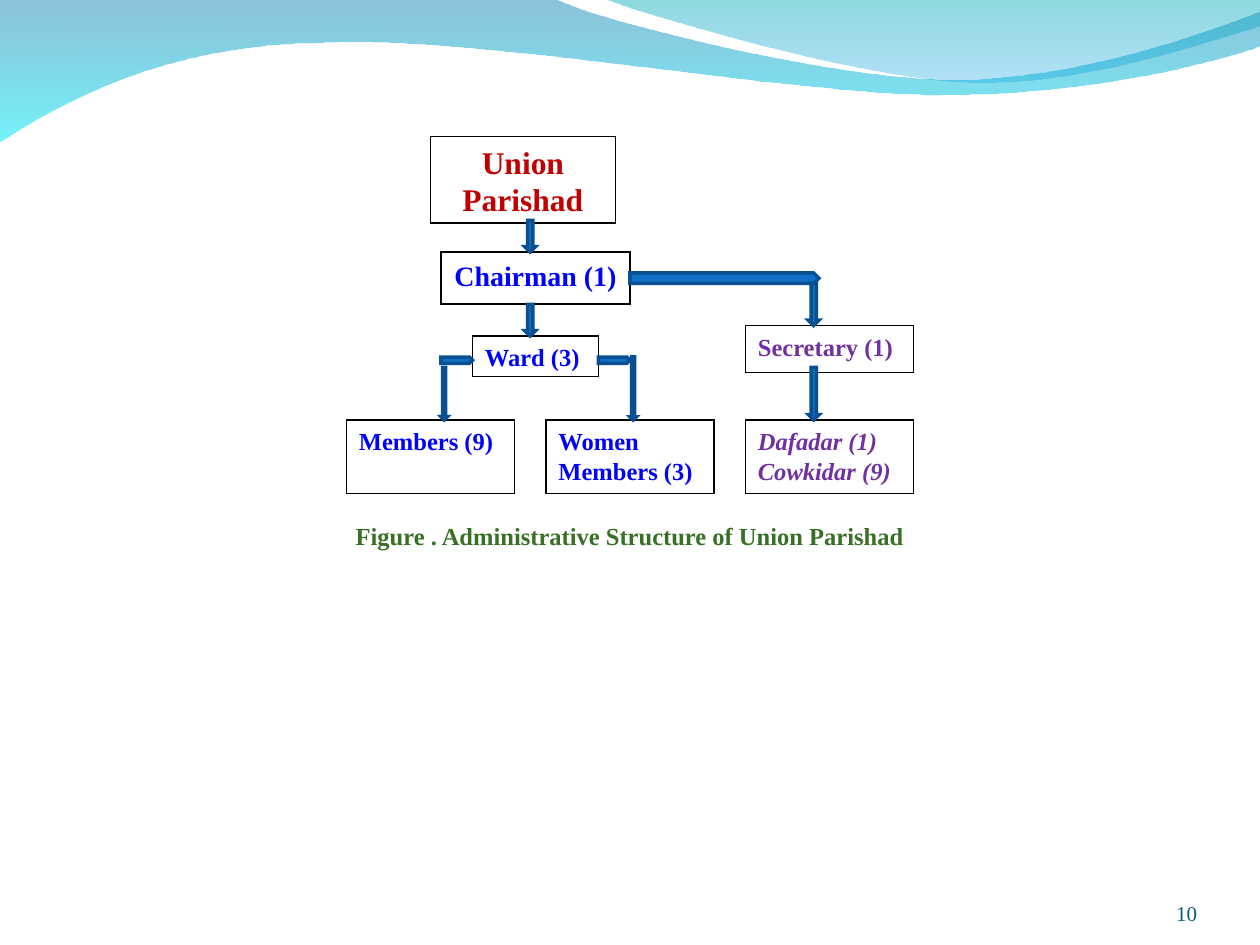
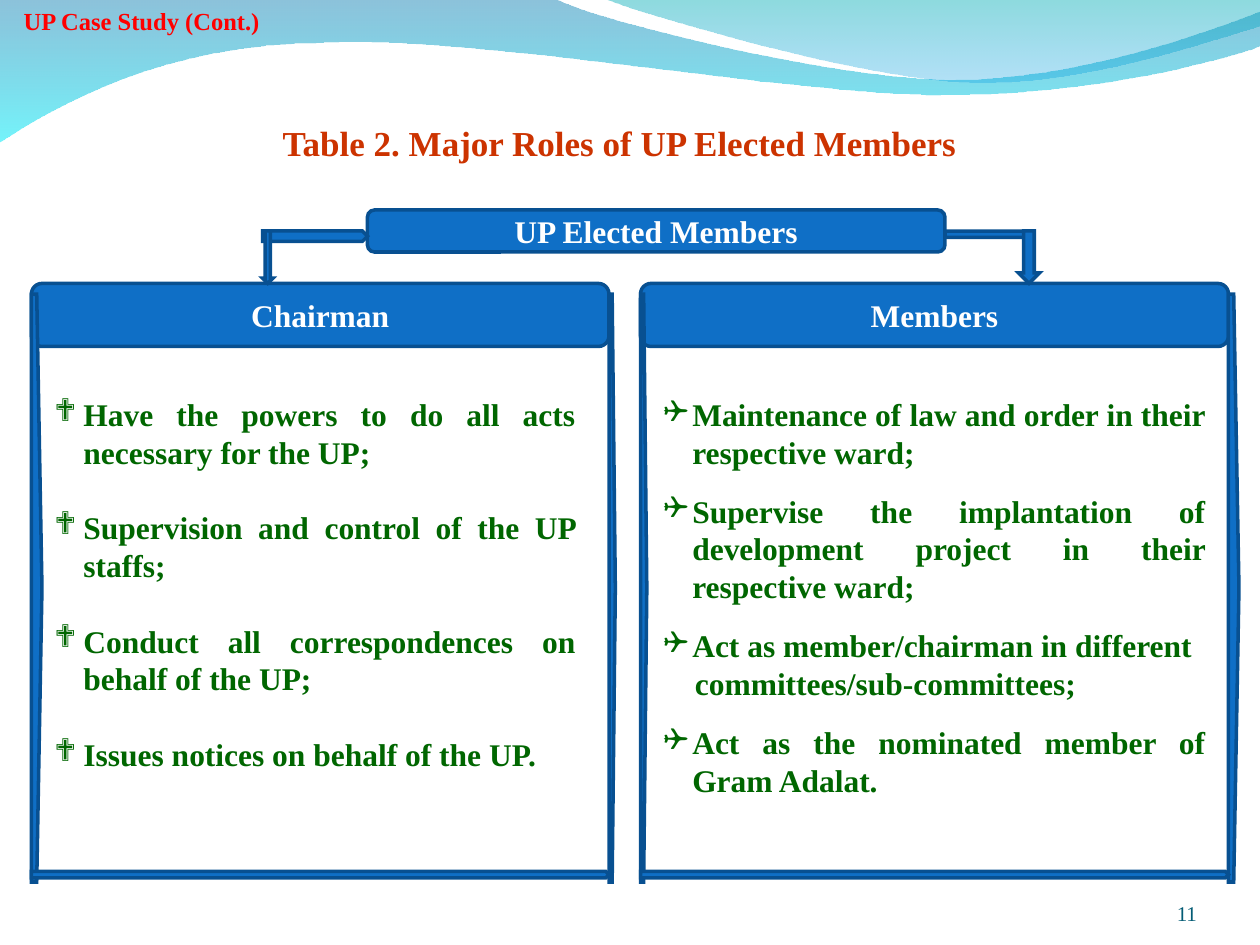
from lxml import etree
from pptx import Presentation
from pptx import util as u
from pptx.dml import color as dml
from pptx.enum import shapes, text
from pptx.oxml import ns

WIDE, HIGH = u.Inches(10), u.Inches(7.5)
CELL = WIDE / 120
TENTH = WIDE / 10
FONT = "Times New Roman"
HUES = {
    "white": "FFFFFF", "black": "000000", "fill": "0F6FC6", "edge": "085091",
    "red": "C00000", "blue": "0000FF", "plum": "7030A0", "leaf": "387026",
    "rust": "CC3300", "green": "006600", "tag": "FF0000", "page": "045C75",
    "sea": "0079AF", "aqua": "00EBF8", "teal": "00ADB6", "sky": "009BE5",
}
KIND = shapes.MSO_SHAPE
ALIGN = text.PP_ALIGN
ANCHOR = text.MSO_ANCHOR

WAVES = [
    ((0, -.01), [
        [(4.4, -.01)],
        [(4.76, .17), (6.64, .63), (7.58, .63)],
        [(8.53, .63), (9.58, .26), (10, .09)],
        [(10.01, .36)],
        [(9.83, .44), (8.7, .76), (7.46, .75)],
        [(6.22, .75), (3.82, .28), (2.57, .34)],
        [(1.29, .35), (.46, .83), (-.01, 1.13)],
    ], [("sea", 45), ("aqua", 55)]),
    ((4.79, -.01), [
        [(5.09, .11), (6.82, .62), (7.69, .65)],
        [(8.56, .69), (9.61, .32), (10, .21)],
        [(10, 0)],
    ], [("teal", 45), ("sky", 30)]),
]


def hue(name):
    """Return the named colour."""
    return dml.RGBColor.from_string(HUES[name])


def span(box, x, y, w, h):
    """Turn grid cells, counted from the corner of a box, into lengths."""
    return [round(n * CELL) for n in (box[0] + x, box[1] + y, w, h)]


def bullet(para, mark):
    """Hang a paragraph, with a bullet if there is a mark."""
    props = para._p.get_or_add_pPr()
    props.set("marL", str(u.Inches(.23 if mark else .25)))
    props.set("indent", str(-u.Inches(.23) if mark else 0))
    if mark:
        etree.SubElement(props, ns.qn("a:buFont")).set("typeface", "Wingdings")
        etree.SubElement(props, ns.qn("a:buChar")).set("char", mark)


def write(shape, lines, size=14, tint="blue", align=ALIGN.LEFT, bold=True,
          slant=False, anchor=ANCHOR.TOP, inset=True, mark=None, gap=0,
          plain=()):
    """Fill a shape with paragraphs in one format."""
    frame = shape.text_frame
    frame.word_wrap = True
    frame.vertical_anchor = anchor
    if not inset:
        frame.margin_left = frame.margin_right = 0
        frame.margin_top = frame.margin_bottom = 0
    for num, line in enumerate([lines] if isinstance(lines, str) else lines):
        para = frame.add_paragraph() if num else frame.paragraphs[0]
        para.alignment = align
        if num and num not in plain:
            para.space_before = u.Pt(gap)
        if mark:
            bullet(para, None if num in plain else mark)
        run = para.add_run()
        run.text = line
        font = run.font
        font.name, font.size = FONT, u.Pt(size)
        font.bold, font.italic = bold, slant
        font.color.rgb = hue(tint)


def label(slide, place, lines, **form):
    """Place free text."""
    write(slide.shapes.add_textbox(*place), lines, **form)


def block(slide, kind, place, fill="fill", edge="edge", width=2):
    """Place a filled shape with a sharp outline."""
    shape = slide.shapes.add_shape(kind, *place)
    shape.shadow.inherit = False
    shape.fill.solid()
    shape.fill.fore_color.rgb = hue(fill)
    shape.line.color.rgb = hue(edge)
    shape.line.width = u.Pt(width)
    join = etree.SubElement(shape.line._get_or_add_ln(), ns.qn("a:miter"))
    join.set("lim", "800000")
    return shape


def bend(wave, parts):
    """Merge each three straight steps that stand for a curve into one."""
    steps = iter(list(wave._element.iter(ns.qn("a:lnTo"))))
    for part in parts:
        group = [next(steps) for dot in part]
        if len(group) == 3:
            curve = etree.Element(ns.qn("a:cubicBezTo"))
            group[0].addprevious(curve)
            for step in group:
                curve.append(step[0])
                step.getparent().remove(step)


def waves(slide):
    """Draw the two clear waves along the top."""
    for start, parts, stops in WAVES:
        dots = [(x * TENTH, y * TENTH) for part in parts for x, y in part]
        pen = slide.shapes.build_freeform(*(n * TENTH for n in start))
        pen.add_line_segments(dots, close=True)
        wave = pen.convert_to_shape()
        bend(wave, parts)
        wave.shadow.inherit = False
        wave.line.fill.background()
        wave.fill.gradient()
        wave.fill.gradient_angle = 270
        for stop, (name, share) in zip(wave.fill.gradient_stops, stops):
            stop.color.rgb = hue(name)
        for node, (name, share) in zip(
                wave._element.spPr.iter(ns.qn("a:srgbClr")), stops):
            etree.SubElement(node, ns.qn("a:alpha")).set(
                "val", str(share * 1000))


def base(deck, page):
    """Add a slide with waves and a page number."""
    slide = deck.slides.add_slide(deck.slide_layouts[6])
    waves(slide)
    label(slide, span((104, 83.4), 0, 0, 10, 4.8), str(page), size=12,
          tint="page", bold=False, align=ALIGN.RIGHT, anchor=ANCHOR.BOTTOM,
          inset=False)
    return slide


def arrows(slide, box, downs, bars):
    """Place down arrows over pointed bars."""
    for kind, items in ((KIND.PENTAGON, bars), (KIND.DOWN_ARROW, downs)):
        for item in items:
            block(slide, kind, span(box, *item))


def tree(slide, box):
    """Draw the chart of posts and its arrows."""
    mid = {"align": ALIGN.CENTER}
    plum = {"tint": "plum"}
    posts = [
        ("Union Parishad", (8, 0, 17.6, 8.25), {"size": 18, "tint": "red", **mid}),
        ("Chairman (1)", (9, 11, 18, 4.95), {"size": 16, **mid}),
        ("Ward (3)", (12, 19, 12, 3.85), {}),
        ("Members (9)", (0, 27, 16, 7), {}),
        ("Women Members (3)", (19, 27, 16, 7), {}),
        ("Secretary (1)", (38, 18, 16, 4.45), plum),
        ("Dafadar (1) Cowkidar (9)", (38, 27, 16, 7), {"slant": True, **plum}),
    ]
    for name, place, form in posts:
        shape = block(slide, KIND.RECTANGLE, span(box, *place),
                      "white", "black", .75)
        write(shape, name, **form)
    arrows(slide, box,
           [(17, 8, 1, 3), (17, 16, 1, 3), (44, 14, 1, 4), (27, 21, .6, 6),
            (9, 22, .6, 5), (44, 22, 1, 5)],
           [(27, 13, 18, 1), (9, 21, 3, .6), (24, 21, 3, .6)])


def head(slide, box, w, h, name):
    """Draw a rounded heading."""
    shape = block(slide, KIND.ROUNDED_RECTANGLE, span(box, 0, 0, w, h))
    write(shape, name, size=18, tint="white", align=ALIGN.CENTER,
          anchor=ANCHOR.MIDDLE)


def panel(slide, box, w, name, roles, left, right, room, **form):
    """Draw a heading, the bars framing it and a list of roles."""
    head(slide, box, w, 6, name)
    for bar in ((0, 1, left, 56), (w, 1, right, 56), (0, 56, w, .6)):
        block(slide, KIND.PENTAGON, span(box, *bar))
    label(slide, span(box, 1, 10, room, 38), roles, size=18,
          tint="green", align=ALIGN.JUSTIFY, **form)


def chart(deck):
    """Build the slide of the structure."""
    slide = base(deck, 10)
    tree(slide, (33, 13))
    label(slide, span((15, 49), 0, 0, 90, 4),
          "Figure . Administrative Structure of Union Parishad",
          tint="leaf", align=ALIGN.CENTER)


def duties(deck):
    """Build the slide of the roles."""
    slide = base(deck, 11)
    label(slide, span((25, 11), 0, 0, 68, 5.3),
          "Table 2. Major Roles of UP Elected Members",
          size=20, tint="rust", align=ALIGN.CENTER)
    head(slide, (35, 20), 55, 4, "UP Elected Members")
    panel(slide, (3, 27), 55, "Chairman", [
        "Have the powers to do all acts necessary for the UP;",
        "Supervision and control of the UP staffs;",
        "Conduct all correspondences on behalf of the UP;",
        "Issues notices on behalf of the UP.",
    ], left=1, right=.6, room=52, mark="❖", gap=21.6)
    panel(slide, (61, 27), 56, "Members", [
        "Maintenance of law and order in their respective ward;",
        "Supervise the implantation of development project in their "
        "respective ward;",
        "Act as member/chairman in different",
        "committees/sub-committees;",
        "Act as the nominated member of Gram Adalat.",
    ], left=.6, right=1, room=54, mark="❑", gap=12.2, plain=(3,))
    arrows(slide, (25, 22), [(0, 0, 1, 5), (72, 0, 2, 5)],
           [(65, 0, 8, .6), (0, 0, 10, 1)])
    label(slide, span((0, 0), 0, 0, 27, 4), "UP Case Study (Cont.)",
          tint="tag", align=ALIGN.CENTER)


def main():
    """Build and save the deck."""
    deck = Presentation()
    deck.slide_width, deck.slide_height = WIDE, HIGH
    chart(deck)
    duties(deck)
    deck.save("out.pptx")


if __name__ == "__main__":
    main()
